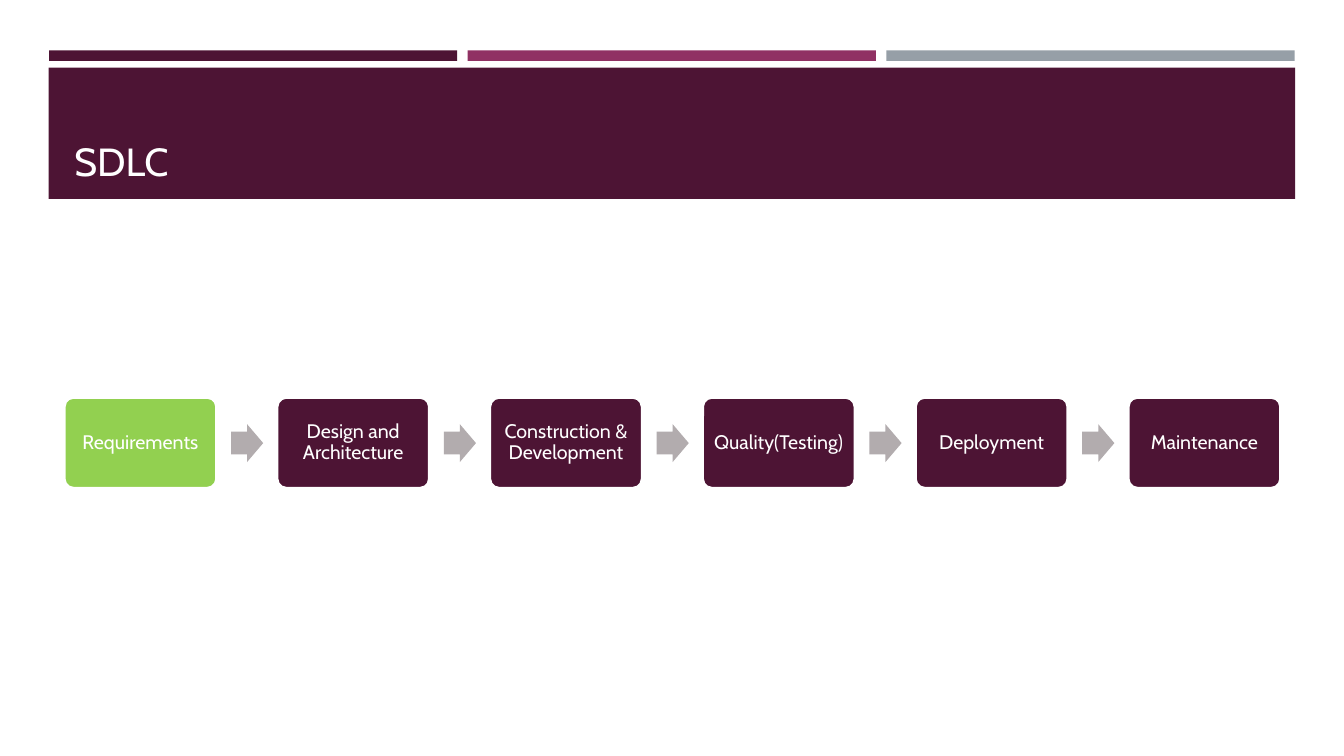
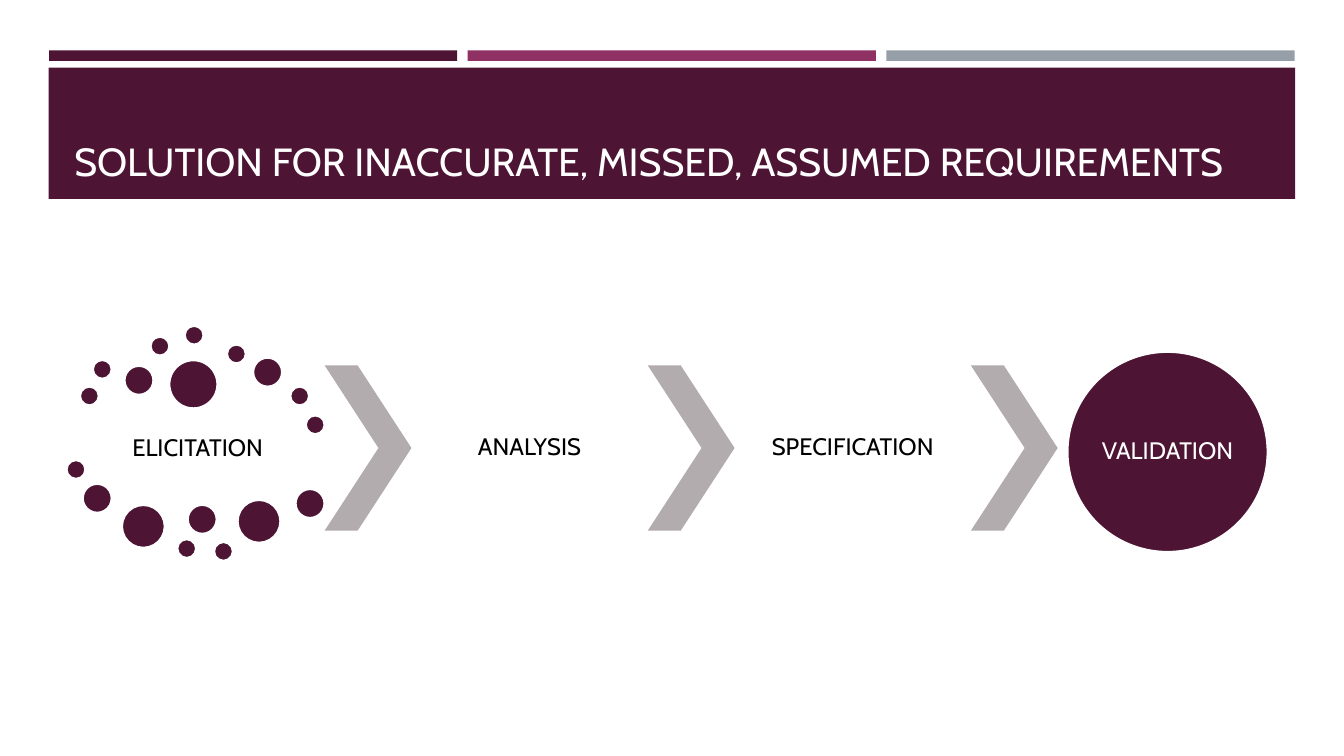
from dataclasses import dataclass

from pptx import Presentation
from pptx.dml.color import RGBColor as RGB
from pptx.enum.shapes import MSO_SHAPE as Kind
from pptx.enum.text import MSO_ANCHOR as Anchor, PP_ALIGN as Align
from pptx.util import Pt


@dataclass(frozen=True)
class Theme:
    font: str = "Cabin"
    plum: RGB = RGB.from_string("4D1434")
    rose: RGB = RGB.from_string("903163")
    slate: RGB = RGB.from_string("969FA7")
    gray: RGB = RGB.from_string("B2ACAE")
    green: RGB = RGB.from_string("92D050")
    white: RGB = RGB.from_string("FFFFFF")
    black: RGB = RGB.from_string("000000")
    title: int = 28
    step: int = 14
    phase: int = 17
    edge: float = 1.75


theme = Theme()


def draw(slide, kind, box, fill, edge=False):
    """Add a filled preset shape, with a white outline if edge is set."""
    shape = slide.shapes.add_shape(kind, *map(Pt, box))
    shape.shadow.inherit = False
    shape.fill.solid()
    shape.fill.fore_color.rgb = fill
    if edge:
        shape.line.color.rgb = theme.white
        shape.line.width = Pt(theme.edge)
    else:
        shape.line.fill.background()
    return shape


def write(shape, text, size, color, inset=(0, 0), title=False):
    """Set text centred in the shape, or as a title at its lower left."""
    frame = shape.text_frame
    frame.word_wrap = True
    frame.margin_left = frame.margin_right = Pt(inset[0])
    frame.margin_top = frame.margin_bottom = Pt(inset[1])
    frame.vertical_anchor = Anchor.BOTTOM if title else Anchor.MIDDLE
    frame.text = text
    para = frame.paragraphs[0]
    para.alignment = Align.LEFT if title else Align.CENTER
    para.line_spacing = 1.0 if title else 0.9
    font = para.runs[0].font
    font.name, font.size, font.color.rgb = theme.font, Pt(size), color


deck = Presentation()
deck.slide_width, deck.slide_height = Pt(960), Pt(540)

# Shared header
slides = []
for title in ("SDLC", "SOLUTION FOR INACCURATE, MISSED, ASSUMED REQUIREMENTS"):
    slide = deck.slides.add_slide(deck.slide_layouts[6])
    for i, fill in enumerate((theme.plum, theme.rose, theme.slate)):
        draw(slide, Kind.RECTANGLE, (35 + 299.1 * i, 36, 291.6, 7.5), fill)
    draw(slide, Kind.RECTANGLE, (34.8, 48.4, 890.4, 93.7), theme.plum)
    box = slide.shapes.add_textbox(Pt(46), Pt(55.5), Pt(868), Pt(80))
    write(box, title, theme.title, theme.white, (7.2, 3.6), title=True)
    slides.append(slide)
cycle, answer = slides

# Life cycle steps
steps = ("Requirements", "Design and Architecture", "Construction & Development",
         "Quality(Testing)", "Deployment", "Maintenance")
for i, name in enumerate(steps):
    left = 46 + 152 * i
    fill = theme.plum if i else theme.green
    card = draw(cycle, Kind.ROUNDED_RECTANGLE, (left, 284, 108.6, 64.6), fill, True)
    card.adjustments[0] = 0.1
    write(card, name, theme.step, theme.white, (4, 4))
    if i < len(steps) - 1:
        arrow = draw(cycle, Kind.RIGHT_ARROW, (left + 119, 303, 23, 27), theme.gray)
        arrow.adjustments[0] = 0.6
        arrow.adjustments[1] = 0.5

# Scattered dots: left and top by diameter
dots = {
    13.7: ((57, 276), (66.2, 257), (107.4, 240.4), (131.8, 232.6), (162, 246),
           (207.2, 276), (218.3, 296.6), (47.4, 328.5), (126.5, 385), (152.8, 387)),
    20.9: ((88.8, 261.2), (180.7, 255.4), (59, 345.5), (134, 360.5), (211, 349.2)),
    30.8: ((87, 360.6), (169.6, 357)),
    34.6: ((120.8, 257.2),),
}
for size, spots in dots.items():
    for x, y in spots:
        draw(answer, Kind.OVAL, (x, y, size, size), theme.plum, True)

# Phases, each led to the next by a chevron
labels = (("ELICITATION", (57, 293, 168.5, 55.4)),
          ("ANALYSIS", (293.8, 261, 169, 118)),
          ("SPECIFICATION", (524.6, 261, 169, 118)))
for i, (name, area) in enumerate(labels):
    box = answer.shapes.add_textbox(*map(Pt, area))
    write(box, name, theme.phase, theme.black, (1.5, 1.5))
    mark = draw(answer, Kind.CHEVRON, (231.9 + 230.8 * i, 261, 62, 118), theme.gray)
    mark.adjustments[0] = 0.62
goal = draw(answer, Kind.OVAL, (762.4, 251.2, 143.2, 143.2), theme.plum, True)
write(goal, "VALIDATION", theme.phase, theme.white)

deck.save("out.pptx")
